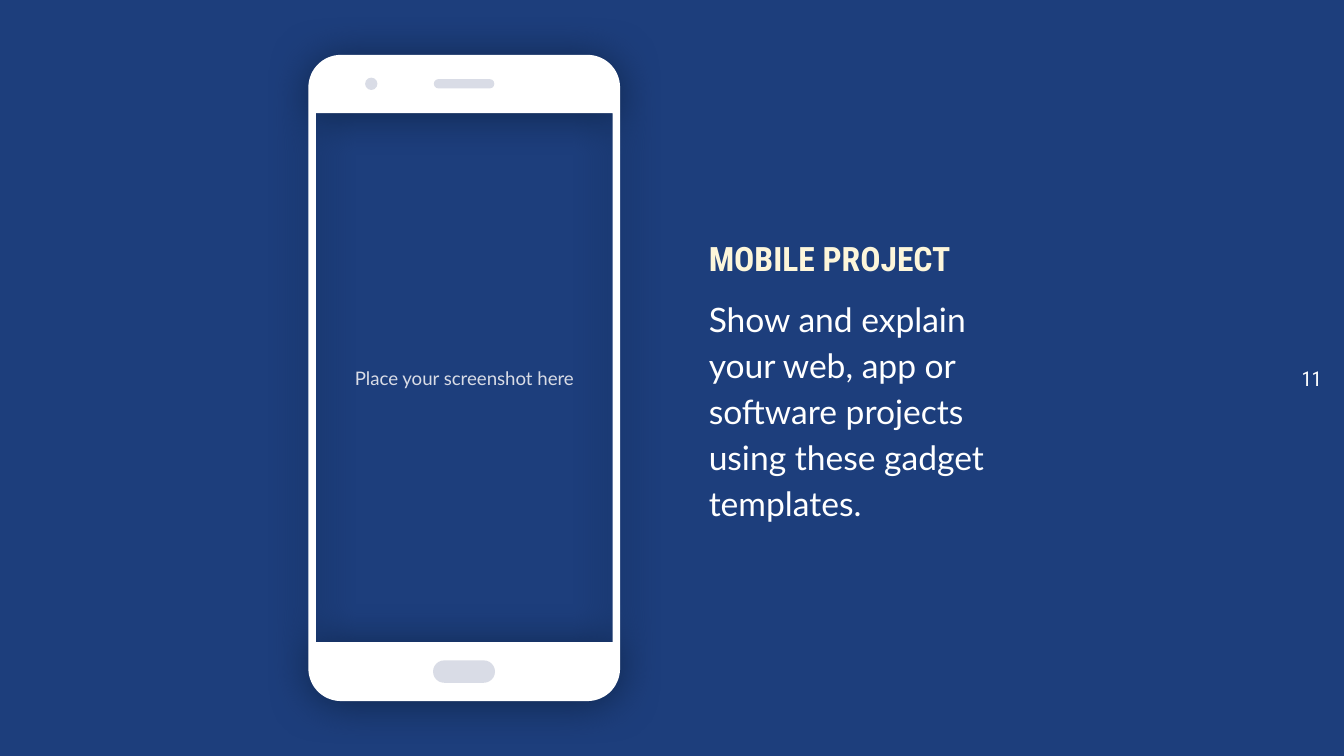
from dataclasses import dataclass
from math import cos, radians, sin

from lxml.etree import SubElement as Sub
from pptx import Presentation as Deck
from pptx.dml.color import RGBColor as Color
from pptx.enum.shapes import MSO_SHAPE as Kind
from pptx.enum.text import MSO_ANCHOR as Anchor, MSO_AUTO_SIZE as Fit, PP_ALIGN as Align
from pptx.oxml.ns import qn
from pptx.util import Pt


@dataclass(frozen=True)
class Theme:
    back: str = "1D3E7C"
    white: str = "FFFFFF"
    cream: str = "FDF6DA"
    grey: str = "D9DCE6"
    shade: str = "010E1B"
    head: str = "Roboto Condensed"
    text: str = "Lato"
    large: int = 18
    mid: int = 11
    small: int = 10


class Page:
    """Draws styled elements on one slide."""

    def __init__(self, deck, theme):
        self.theme = theme
        self.slide = deck.slides.add_slide(deck.slide_layouts[1])
        self.shapes = self.slide.shapes
        fill = self.slide.background.fill
        fill.solid()
        fill.fore_color.rgb = Color.from_string(theme.back)
        title = self.shapes.title.element
        title.getparent().remove(title)

    def frame(self, shape, inset=0):
        frame = shape.text_frame
        frame.word_wrap = True
        frame.auto_size = Fit.NONE
        frame.vertical_anchor = Anchor.MIDDLE
        frame.margin_left = frame.margin_right = Pt(inset)
        frame.margin_top = frame.margin_bottom = Pt(inset)
        return frame

    def run(self, para, text, font, size, color, bold=False):
        run = para.add_run()
        run.text = text
        run.font.name = font
        run.font.size = Pt(size)
        run.font.bold = bold
        run.font.color.rgb = Color.from_string(color)

    def label(self, text, box, font, size, color, align, inset=0):
        shape = self.shapes.add_textbox(*map(Pt, box))
        para = self.frame(shape, inset).paragraphs[0]
        para.alignment = align
        self.run(para, text, font, size, color)

    def body(self, box, items):
        shape = self.slide.placeholders[1]
        shape.left, shape.top, shape.width, shape.height = map(Pt, box)
        frame = self.frame(shape)
        for i, (text, font, color, bold, gap) in enumerate(items):
            para = frame.add_paragraph() if i else frame.paragraphs[0]
            para.alignment = Align.LEFT
            para.line_spacing = 1.14
            para.space_before = para.space_after = Pt(gap)
            props = para._p.get_or_add_pPr()
            props.set("marL", "0")
            props.set("indent", "0")
            Sub(props, qn("a:buNone"))
            self.run(para, text, font, self.theme.large, color, bold)

    def paint(self, shape, color):
        shape.shadow.inherit = False
        shape.fill.solid()
        shape.fill.fore_color.rgb = Color.from_string(color)
        shape.line.fill.background()

    def detail(self, kind, box, color):
        shape = self.shapes.add_shape(kind, *map(Pt, box))
        self.paint(shape, color)
        if kind == Kind.ROUNDED_RECTANGLE:
            shape.adjustments[0] = 0.5

    def case(self, box, hole, curve):
        x, y, w, h = box
        mids = ((x + w - curve, y + curve), (x + w - curve, y + h - curve),
                (x + curve, y + h - curve), (x + curve, y + curve))
        rim = [(Pt(a + curve * cos(radians(t))), Pt(b + curve * sin(radians(t))))
               for i, (a, b) in enumerate(mids)
               for t in range(90 * i - 90, 90 * i + 1, 6)]
        l, t, w, h = hole
        inner = [(Pt(a), Pt(b)) for a, b in ((l, t), (l, t + h), (l + w, t + h), (l + w, t))]
        outline = self.shapes.build_freeform(*rim[0], scale=1.0)
        outline.add_line_segments(rim[1:], close=True)
        outline.move_to(*inner[0])
        outline.add_line_segments(inner[1:], close=True)
        shape = outline.convert_to_shape()
        self.paint(shape, self.theme.white)
        self.cast(shape, blur=22.5, dist=1.5, alpha=50)

    def cast(self, shape, blur, dist, alpha):
        group = shape._element.spPr.find(qn("a:effectLst"))
        shade = Sub(group, qn("a:outerShdw"), blurRad=str(Pt(blur)), dist=str(Pt(dist)),
                    dir="5400000", algn="bl", rotWithShape="0")
        color = Sub(shade, qn("a:srgbClr"), val=self.theme.shade)
        Sub(color, qn("a:alpha"), val=str(alpha * 1000))


def main():
    deck = Deck()
    deck.slide_width, deck.slide_height = Pt(720), Pt(405)
    theme = Theme()
    page = Page(deck, theme)
    page.body((379.7, 29.5, 175, 346), (
        ("MOBILE PROJECT", theme.head, theme.cream, True, 0),
        ("Show and explain your web, app or software projects using these gadget templates.",
         theme.text, theme.white, False, 8)))
    screen = (169.2, 60.6, 159, 283.4)
    page.label("Place your screenshot here", screen, theme.text, theme.small,
               theme.grey, Align.CENTER, 7.2)
    page.label("11", (665, 0, 43.2, 405), theme.head, theme.mid, theme.white, Align.RIGHT)
    page.case((165.2, 29.4, 167, 346.2), screen, 17.4)
    for kind, box in ((Kind.ROUNDED_RECTANGLE, (232, 353.8, 33.2, 12)),
                      (Kind.OVAL, (195.6, 41.6, 6.6, 6.6)),
                      (Kind.ROUNDED_RECTANGLE, (232.4, 42.4, 32.4, 5))):
        page.detail(kind, box, theme.grey)
    deck.save("out.pptx")


if __name__ == "__main__":
    main()
